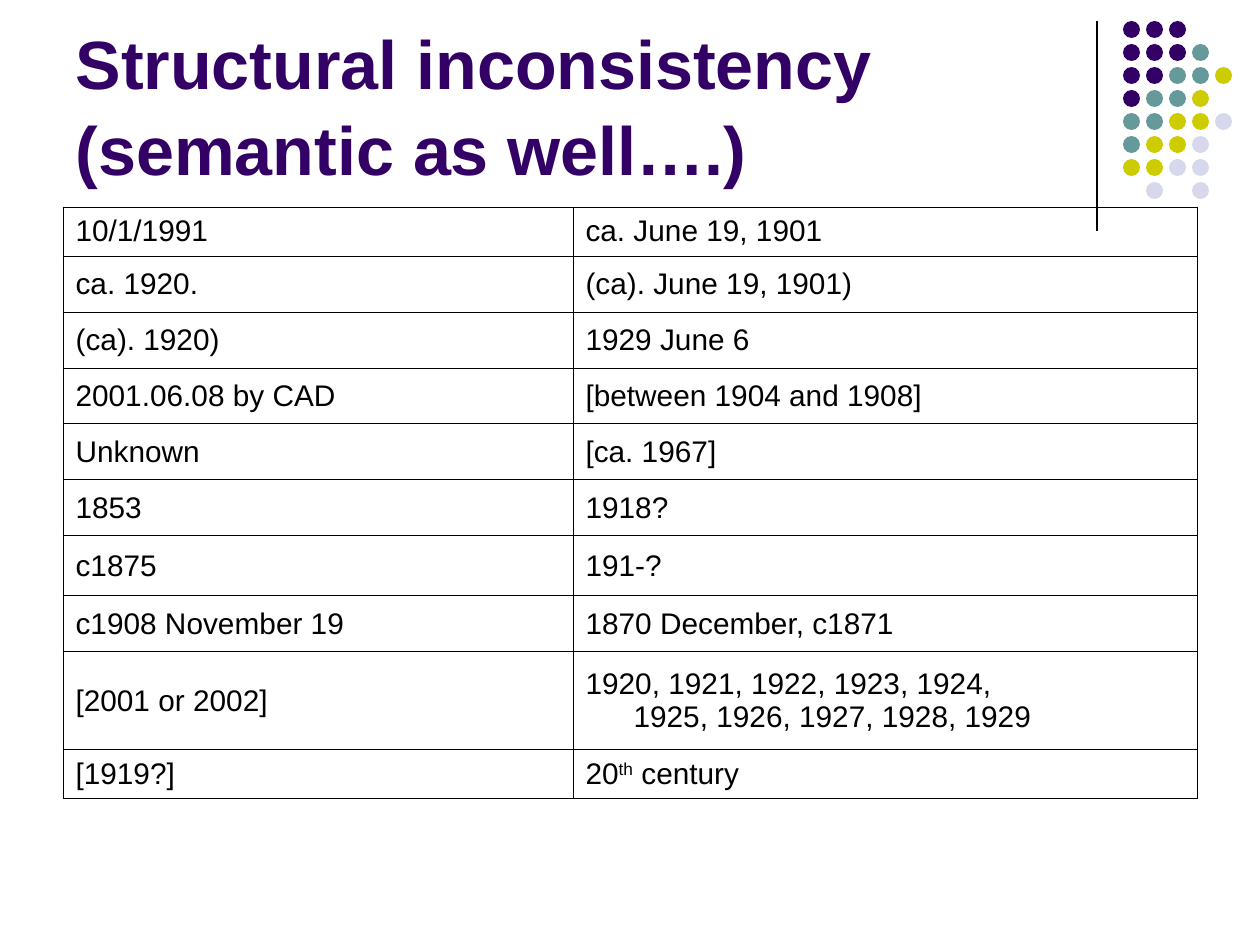
from lxml import etree
from pptx import Presentation
from pptx import util as u
from pptx.dml.color import RGBColor
from pptx.enum import shapes, text
from pptx.oxml.ns import qn

PURPLE = RGBColor(0x33, 0x00, 0x66)
TEAL = RGBColor(0x66, 0x99, 0x99)
OLIVE = RGBColor(0xCC, 0xCC, 0x00)
LILAC = RGBColor(0xD8, 0xD8, 0xEC)
BLACK = RGBColor(0x00, 0x00, 0x00)

PX_PER_INCH = 126
DOT_COLOURS = {"P": PURPLE, "T": TEAL, "O": OLIVE, "L": LILAC}
DOT_ROWS = ["PPP", "PPPT", "PPTTO", "PTTO", "TTOOL", "TOOL", "OOLL", " L L"]

TITLE_LINES = ["Structural inconsistency", "(semantic as well….)"]

# A cell is plain wording, or lines of (wording, is superscript) runs
DATES = [
    ("10/1/1991", "ca. June 19, 1901"),
    ("ca. 1920.", "(ca). June 19, 1901)"),
    ("(ca). 1920)", "1929 June 6"),
    ("2001.06.08 by CAD", "[between 1904 and 1908]"),
    ("Unknown", "[ca. 1967]"),
    ("1853", "1918?"),
    ("c1875", "191-?"),
    ("c1908 November 19", "1870 December, c1871"),
    ("[2001 or 2002]", [[("1920, 1921, 1922, 1923, 1924, ", False)],
                        [("1925, 1926, 1927, 1928, 1929", False)]]),
    ("[1919?]", [[("20", False), ("th", True), (" century", False)]]),
]
COLUMN_WIDTHS = [510, 624]
ROW_HEIGHTS = [49, 56, 56, 56, 56, 56, 60, 56, 98, 49]


def px(length):
    return u.Emu(round(length * 914400 / PX_PER_INCH))


class SlideBuilder:
    font = "Arial"
    title_size = u.Pt(39)
    cell_size = u.Pt(17)
    border_width = u.Pt(0.45)
    hanging_indent = px(48)

    def __init__(self, slide):
        self.slide = slide

    def add_runs(self, paragraph, lines, size, colour, bold=False):
        for number, line in enumerate(lines):
            if number:
                paragraph.add_line_break()
            for wording, raised in line:
                run = paragraph.add_run()
                run.text = wording
                run.font.name = self.font
                run.font.size = size
                run.font.bold = bold
                run.font.color.rgb = colour
                if raised:
                    run._r.get_or_add_rPr().set("baseline", "30000")

    def title(self, lines, left, top, width, height):
        title = self.slide.shapes.title
        title.left, title.top = px(left), px(top)
        title.width, title.height = px(width), px(height)
        frame = title.text_frame
        frame.auto_size = text.MSO_AUTO_SIZE.NONE
        frame.word_wrap = True
        frame.vertical_anchor = text.MSO_ANCHOR.BOTTOM
        paragraph = frame.paragraphs[0]
        paragraph.alignment = text.PP_ALIGN.LEFT
        paragraph.line_spacing = 1.05
        self.add_runs(paragraph, [[(line, False)] for line in lines],
                      self.title_size, PURPLE, bold=True)

    def rule(self, x1, y1, x2, y2):
        rule = self.slide.shapes.add_connector(
            shapes.MSO_CONNECTOR.STRAIGHT, px(x1), px(y1), px(x2), px(y2))
        rule.line.color.rgb = BLACK
        rule.line.width = u.Pt(0.75)
        etree.SubElement(rule._element.spPr, qn("a:effectLst"))

    def dot(self, left, top, size, colour):
        dot = self.slide.shapes.add_shape(
            shapes.MSO_SHAPE.OVAL, px(left), px(top), px(size), px(size))
        dot.shadow.inherit = False
        dot.fill.solid()
        dot.fill.fore_color.rgb = colour
        dot.line.fill.background()

    def border(self, cell):
        properties = cell._tc.get_or_add_tcPr()
        for side in ("a:lnL", "a:lnR", "a:lnT", "a:lnB"):
            edge = etree.SubElement(properties, qn(side), w=str(self.border_width))
            fill = etree.SubElement(edge, qn("a:solidFill"))
            etree.SubElement(fill, qn("a:srgbClr"), val=str(BLACK))

    def cell(self, cell, content):
        self.border(cell)
        cell.fill.background()
        cell.vertical_anchor = text.MSO_ANCHOR.MIDDLE
        paragraph = cell.text_frame.paragraphs[0]
        indents = paragraph._p.get_or_add_pPr()
        indents.set("marL", str(self.hanging_indent))
        indents.set("indent", str(-self.hanging_indent))
        lines = [[(content, False)]] if isinstance(content, str) else content
        self.add_runs(paragraph, lines, self.cell_size, BLACK)

    def table(self, rows, left, top, widths, heights):
        table = self.slide.shapes.add_table(
            len(rows), len(widths), px(left), px(top),
            px(sum(widths)), px(sum(heights))).table
        table.first_row = table.horz_banding = False
        for column, width in zip(table.columns, widths):
            column.width = px(width)
        for row, height, contents in zip(table.rows, heights, rows):
            row.height = px(height)
            for cell, content in zip(row.cells, contents):
                self.cell(cell, content)


def main():
    deck = Presentation()
    deck.slide_width, deck.slide_height = u.Inches(10), u.Inches(7.5)
    builder = SlideBuilder(deck.slides.add_slide(deck.slide_layouts[5]))

    # Corner ornament: vertical rule and dot grid
    builder.rule(1097, 21, 1097, 231)
    for row, codes in enumerate(DOT_ROWS):
        for column, code in enumerate(codes):
            if code in DOT_COLOURS:
                builder.dot(1123 + 23 * column, 21 + 23 * row, 17, DOT_COLOURS[code])

    # Title
    builder.title(TITLE_LINES, 63, 16, 1040, 179)

    # Date formats
    builder.table(DATES, 63, 207, COLUMN_WIDTHS, ROW_HEIGHTS)

    deck.save("out.pptx")


if __name__ == "__main__":
    main()
